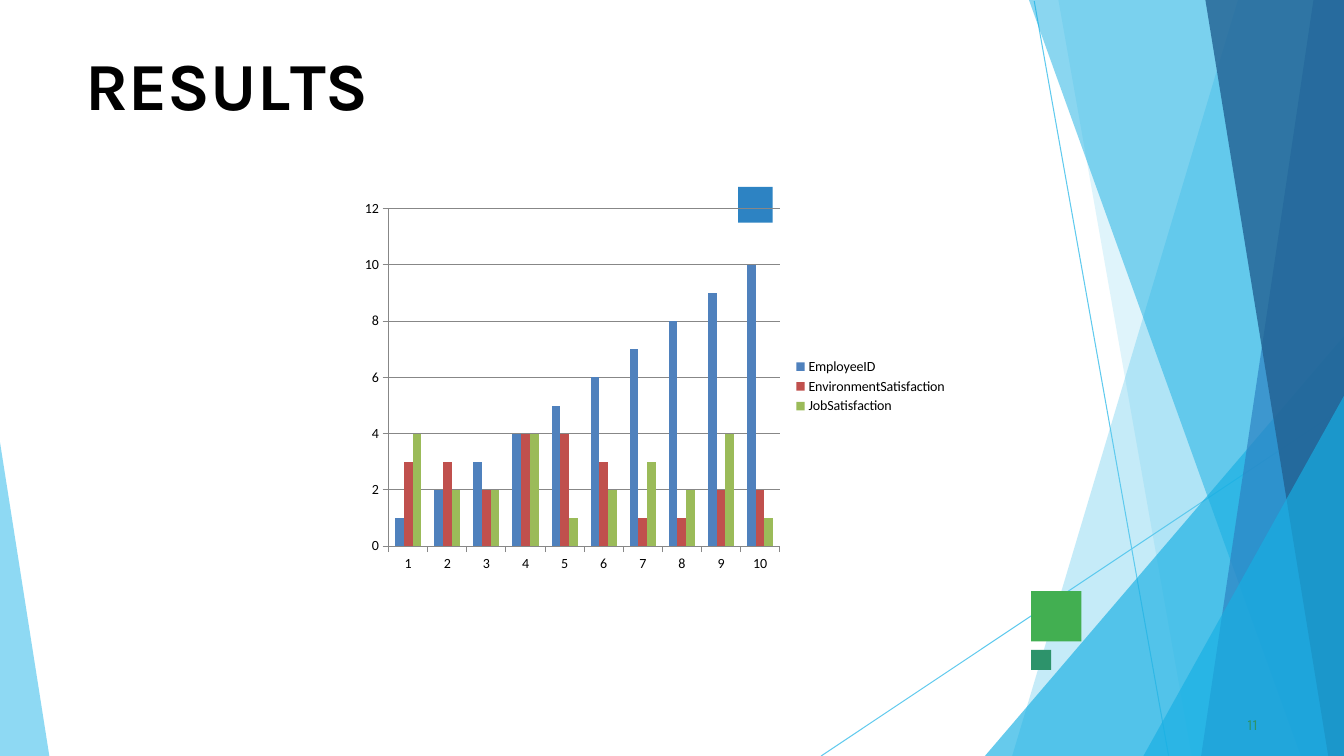
from dataclasses import dataclass

from lxml.etree import SubElement
from pptx import Presentation
from pptx.chart.data import CategoryChartData
from pptx.dml.color import RGBColor
from pptx.enum.chart import XL_CHART_TYPE, XL_LEGEND_POSITION, XL_TICK_MARK
from pptx.enum.shapes import MSO_CONNECTOR, MSO_SHAPE
from pptx.enum.text import MSO_ANCHOR, MSO_AUTO_SIZE, PP_ALIGN
from pptx.oxml.ns import qn
from pptx.slide import Slide
from pptx.text.text import TextFrame
from pptx.util import Pt

PX = 9525
WIDTH, HEIGHT = 1280, 720
TITLE_FONT, CHART_FONT = "Karla", "Calibri"

COLORS = {
    "sky": "5FCAEE",
    "cyan": "17AFE3",
    "blue": "2D83C3",
    "navy": "226192",
    "green": "42AF51",
    "teal": "2D936B",
    "black": "000000",
    "axis": "878787",
    "employee": "4F81BD",
    "environment": "C0504D",
    "job": "9BBB59",
}


@dataclass(frozen=True)
class Ray:
    start: tuple[int, int]
    end: tuple[int, int]


@dataclass(frozen=True)
class Facet:
    points: list[tuple[int, int]]
    color: str
    opacity: int


@dataclass(frozen=True)
class Square:
    left: int
    top: int
    width: int
    height: int
    color: str


@dataclass(frozen=True)
class Series:
    name: str
    values: list[int]
    color: str


@dataclass(frozen=True)
class Letters:
    text: str
    spacing: int  # hundredths of a point


def band(top_x: int, bottom_x: int, color: str, opacity: int) -> Facet:
    """Full-height facet from a slanted left edge to the right slide edge."""
    corners = [(WIDTH, 0), (top_x, 0), (bottom_x, HEIGHT), (WIDTH, HEIGHT)]
    return Facet(corners, color, opacity)


def corner(top: int, left: int) -> Facet:
    """Triangle in the lower right corner of the slide."""
    return Facet([(WIDTH, top), (left, HEIGHT), (WIDTH, HEIGHT)], "cyan", 66)


RAYS = [Ray((985, 1), (1113, HEIGHT)), Ray((WIDTH, 388), (782, HEIGHT))]
FACETS = [
    band(1179, 964, "sky", 36),
    band(1008, 1135, "sky", 20),
    corner(320, 938),
    band(980, 1239, "cyan", 50),
    band(1251, 1144, "blue", 70),
    band(1148, 1265, "navy", 80),
    corner(377, 1089),
    Facet([(0, 421), (0, HEIGHT), (47, HEIGHT)], "sky", 70),
]
SQUARES = [
    Square(982, 563, 48, 48, "green"),
    Square(703, 178, 33, 34, "blue"),
    Square(982, 619, 19, 19, "teal"),
]
TITLE = [
    Letters("R", 0), Letters("E", -40), Letters("S", 10),
    Letters("U", -30), Letters("L", -400), Letters("TS", 0),
]
PAGE_NUMBER = [Letters("11", 10)]
SERIES = [
    Series("EmployeeID", list(range(1, 11)), "employee"),
    Series("EnvironmentSatisfaction", [3, 3, 2, 4, 4, 3, 1, 1, 2, 2], "environment"),
    Series("JobSatisfaction", [4, 2, 2, 4, 1, 2, 3, 2, 4, 1], "job"),
]


def rgb(name: str) -> RGBColor:
    return RGBColor.from_string(COLORS[name])


def scaled(*lengths: int) -> list[int]:
    return [length * PX for length in lengths]


def add_ray(page: Slide, ray: Ray) -> None:
    line = page.shapes.add_connector(
        MSO_CONNECTOR.STRAIGHT, *scaled(*ray.start, *ray.end))
    line.line.color.rgb = rgb("sky")
    line.line.width = Pt(0.75)
    SubElement(line._element.spPr, qn("a:effectLst"))


def add_facet(page: Slide, facet: Facet) -> None:
    builder = page.shapes.build_freeform(*facet.points[0], scale=PX)
    builder.add_line_segments(facet.points[1:], close=True)
    shape = builder.convert_to_shape()
    shape.shadow.inherit = False
    shape.fill.solid()
    shape.fill.fore_color.rgb = rgb(facet.color)
    shape.line.fill.background()
    color = shape._element.spPr.find(qn("a:solidFill")).find(qn("a:srgbClr"))
    SubElement(color, qn("a:alpha")).set("val", str(facet.opacity * 1000))


def add_square(page: Slide, square: Square) -> None:
    shape = page.shapes.add_shape(
        MSO_SHAPE.RECTANGLE,
        *scaled(square.left, square.top, square.width, square.height))
    shape.shadow.inherit = False
    shape.fill.solid()
    shape.fill.fore_color.rgb = rgb(square.color)
    shape.line.fill.background()


def write_text(frame: TextFrame, letters: list[Letters], indent: int,
               size: int, color: str, bold: bool, before: float) -> None:
    frame.margin_left, frame.margin_top = scaled(indent, 1)
    frame.margin_right = frame.margin_bottom = 0
    frame.word_wrap = True
    frame.auto_size = MSO_AUTO_SIZE.SHAPE_TO_FIT_TEXT
    frame.vertical_anchor = MSO_ANCHOR.TOP
    para = frame.paragraphs[0]
    para.alignment = PP_ALIGN.LEFT
    para.space_before = Pt(before)
    for part in letters:
        span = para.add_run()
        span.text = part.text
        span.font.name = TITLE_FONT
        span.font.size = Pt(size)
        span.font.bold = bold
        span.font.color.rgb = rgb(color)
        span.font._element.set("spc", str(part.spacing))


def add_results_chart(page: Slide) -> None:
    data = CategoryChartData()
    data.categories = [str(number) for number in range(1, 11)]
    for series in SERIES:
        data.add_series(series.name, series.values)
    chart = page.shapes.add_chart(
        XL_CHART_TYPE.COLUMN_CLUSTERED, *scaled(336, 184, 576, 368), data).chart
    chart.font.name = CHART_FONT
    chart.font.size = Pt(10)
    chart.font.color.rgb = rgb("black")
    chart.has_title = False
    chart.has_legend = True
    chart.legend.position = XL_LEGEND_POSITION.RIGHT
    chart.legend.include_in_layout = False
    plot = chart.plots[0]
    plot.vary_by_categories = False
    plot.gap_width = 150
    for drawn, series in zip(plot.series, SERIES):
        drawn.format.fill.solid()
        drawn.format.fill.fore_color.rgb = rgb(series.color)
    chart.value_axis.has_major_gridlines = True
    for axis in (chart.category_axis, chart.value_axis):
        axis.major_tick_mark = XL_TICK_MARK.OUTSIDE
        axis.format.line.color.rgb = rgb("axis")
    chart.value_axis.major_gridlines.format.line.color.rgb = rgb("axis")


def main() -> None:
    deck = Presentation()
    deck.slide_width, deck.slide_height = scaled(WIDTH, HEIGHT)
    page = deck.slides.add_slide(deck.slide_layouts.get_by_name("Title Only"))
    for ray in RAYS:
        add_ray(page, ray)
    for facet in FACETS:
        add_facet(page, facet)
    for square in SQUARES:
        add_square(page, square)
    title = page.shapes.title
    title.left, title.top, title.width, title.height = scaled(80, 40, 1121, 80)
    write_text(title.text_frame, TITLE, 1, 48, "black", True, 1.1)
    number_box = page.shapes.add_textbox(*scaled(1184, 680, 24, 20))
    write_text(number_box.text_frame, PAGE_NUMBER, 4, 11, "teal", False, 0.6)
    add_results_chart(page)
    deck.save("out.pptx")


if __name__ == "__main__":
    main()
